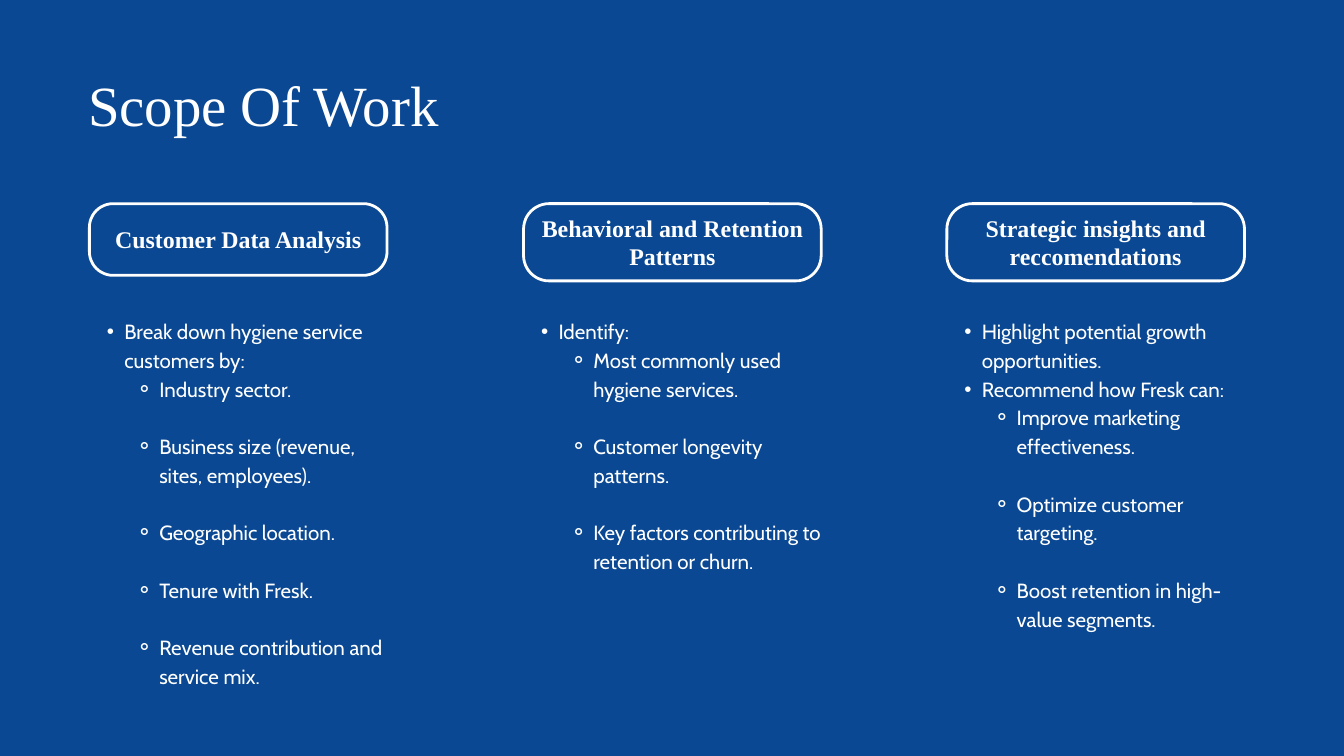
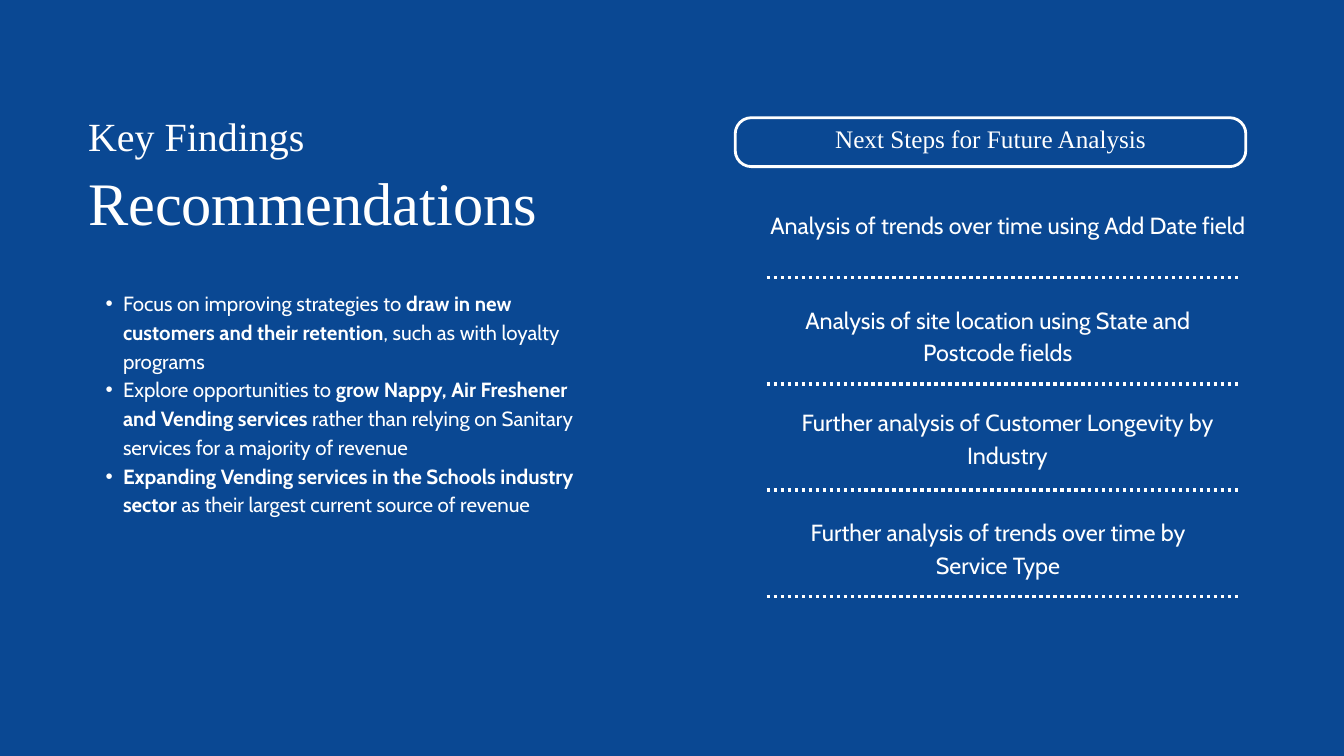
import pptx
import pptx.util
import pptx.dml.color
import pptx.enum.dml
import pptx.enum.shapes
import pptx.enum.text
from lxml import etree
from pptx.util import Cm, Pt

BLUE = "0A4893"
WHITE = "FFFFFF"
SERIF = "Times New Roman"
SANS = "Cabin"
EDGE = 3.33
ALIGN = pptx.enum.text.PP_ALIGN
ANCHOR = pptx.enum.text.MSO_ANCHOR
NS = "{http://schemas.openxmlformats.org/drawingml/2006/main}"
# level: (bullet, left margin, hanging indent)
MARKS = {1: ("•", 1.32, -0.66), 2: ("⚬", 2.64, -0.88)}


def paint(fmt, code):
    """Give a fill, line or font colour from a hex string."""
    fmt.rgb = pptx.dml.color.RGBColor.from_string(code)


def place(shape, box):
    shape.left, shape.top, shape.width, shape.height = map(Cm, box)


def clear(frame, anchor=ANCHOR.TOP):
    """Strip the insets and fix wrap, fit and anchor."""
    frame.margin_left = frame.margin_right = 0
    frame.margin_top = frame.margin_bottom = 0
    frame.word_wrap = True
    frame.auto_size = pptx.enum.text.MSO_AUTO_SIZE.NONE
    frame.vertical_anchor = anchor


def style(para, face, size, pitch, align=ALIGN.LEFT, bold=False):
    """Format a paragraph; text between asterisks turns bold."""
    parts = para.text.split("*")
    para.text = ""
    para.alignment = align
    para.line_spacing = Pt(pitch)
    for num, part in enumerate(parts):
        if not part:
            continue
        run = para.add_run()
        run.text = part
        run.font.name = face
        run.font.size = Pt(size)
        run.font.bold = bold or num % 2 == 1
        paint(run.font.color, WHITE)


def write(shape, text, face, size, pitch, align=ALIGN.LEFT, bold=False,
          anchor=ANCHOR.TOP):
    frame = shape.text_frame
    clear(frame, anchor)
    frame.text = text
    style(frame.paragraphs[0], face, size, pitch, align, bold)


def label(slide, box, text, face, size, pitch, align=ALIGN.LEFT):
    shape = slide.shapes.add_textbox(*map(Cm, box))
    write(shape, text, face, size, pitch, align)


def title(slide, box, text, size, pitch):
    place(slide.shapes.title, box)
    write(slide.shapes.title, text, SERIF, size, pitch)


def pill(slide, box, text, size, pitch, bold=False, lift=0):
    """Draw an outlined rounded heading; lift raises its text."""
    kind = pptx.enum.shapes.MSO_SHAPE.ROUNDED_RECTANGLE
    shape = slide.shapes.add_shape(kind, *map(Cm, box))
    shape.adjustments[0] = 0.33
    shape.shadow.inherit = False
    shape.fill.background()
    paint(shape.line.color, WHITE)
    shape.line.width = Pt(3)
    write(shape, text, SERIF, size, pitch, ALIGN.CENTER, bold, ANCHOR.MIDDLE)
    shape.text_frame.margin_bottom = Cm(lift)


def bullet(para, level):
    mark, left, hang = MARKS[level]
    para.level = level
    props = para._p.get_or_add_pPr()
    props.set("marL", str(Cm(left)))
    props.set("indent", str(Cm(hang)))
    etree.SubElement(props, NS + "buChar").set("char", mark)


def listing(holder, box, items):
    """Fill a body placeholder; a line's gap parts level-two neighbours."""
    place(holder, box)
    frame = holder.text_frame
    clear(frame)
    frame.text = "\n".join(text for _, text in items)
    last = 1
    for para, (level, _) in zip(frame.paragraphs, items):
        bullet(para, level)
        para.space_before = Pt(30.8 if last == level == 2 else 0)
        style(para, SANS, 22, 30.8)
        last = level


def column(slide, holder, box, head, tall, items):
    """Place a heading pill with its list 4.2 cm below the pill's top."""
    left, top, width, height = box
    pill(slide, (left, top, 11.25, tall), head, 25.6, 30.5, bold=True)
    listing(holder, (left, top + 4.21, width, height - 4.21), items)


def dots(slide, left, top, width):
    kind = pptx.enum.shapes.MSO_CONNECTOR.STRAIGHT
    line = slide.shapes.add_connector(
        kind, Cm(left), Cm(top), Cm(left + width), Cm(top))
    paint(line.line.color, WHITE)
    line.line.width = Pt(3.75)
    line.line.dash_style = pptx.enum.dml.MSO_LINE.ROUND_DOT
    etree.SubElement(line._element.spPr, NS + "effectLst")


def steps(slide, box, rows):
    """Stack rows in equal bands, each closed by a dotted line."""
    left, top, width, height = box
    band = height / len(rows)
    for num, (text, shift, drop, wide) in enumerate(rows):
        head = top + num * band
        label(slide, (left + shift, head + drop, wide, 2.39), text,
              SANS, 25, 35, ALIGN.CENTER)
        dots(slide, left, head + band, width)


def scope(deck):
    slide = deck.slides.add_slide(deck.slide_layouts.get_by_name("Comparison"))
    title(slide, (EDGE, 2.67, 17.58, 2.87), "Scope Of Work", 60.9, 72.5)
    cols = [
        ((3.38, 7.7, 11.76, 19.35), "Customer Data Analysis", 2.71, [
            (1, "Break down hygiene service customers by:"),
            (2, "Industry sector."),
            (2, "Business size (revenue, sites, employees)."),
            (2, "Geographic location."),
            (2, "Tenure with Fresk."),
            (2, "Revenue contribution and service mix.")]),
        ((19.79, 7.7, 11.28, 16.1), "Behavioral and Retention Patterns", 2.92, [
            (1, "Identify:"),
            (2, "Most commonly used hygiene services."),
            (2, "Customer longevity patterns."),
            (2, "Key factors contributing to retention or churn.")]),
        ((35.79, 7.7, 11.56, 17.19), "Strategic insights and reccomendations",
         2.92, [
            (1, "Highlight potential growth opportunities."),
            (1, "Recommend how Fresk can:"),
            (2, "Improve marketing effectiveness."),
            (2, "Optimize customer targeting."),
            (2, "Boost retention in high-value segments.")]),
    ]
    bodies = list(slide.placeholders)[1:]
    for holder, col in zip(bodies, cols):
        column(slide, holder, *col)
    for spare in bodies[len(cols):]:
        spare._element.getparent().remove(spare._element)


def advice(deck):
    slide = deck.slides.add_slide(
        deck.slide_layouts.get_by_name("Title and Content"))
    label(slide, (EDGE, 4.22, 16.38, 2.01), "Key Findings", SERIF, 42.8, 50.9)
    title(slide, (EDGE, 6.27, 20.52, 3.05), "Recommendations", 64.7, 76.9)
    listing(slide.placeholders[1], (EDGE, 10.85, 19.53, 10.8), [
        (1, "Focus on improving strategies to *draw in new customers and "
            "their retention*, such as with loyalty programs"),
        (1, "Explore opportunities to *grow Nappy, Air Freshener and Vending "
            "services *rather than relying on Sanitary services for a "
            "majority of revenue"),
        (1, "*Expanding Vending services in the Schools industry sector* as "
            "their largest current source of revenue")])
    pill(slide, (27.79, 4.45, 19.3, 1.85), "Next Steps for Future Analysis",
         27, 32.1, lift=0.3)
    steps(slide, (28.98, 6.47, 17.86, 16.08), [
        ("Analysis of trends over time using Add Date field", -0.2, 1.35, 18.62),
        ("Analysis of site location using State and Postcode fields",
         -0.2, 0.89, 17.86),
        ("Further analysis of Customer Longevity by Industry", 0.1, 0.76, 18),
        ("Further analysis of trends over time by Service Type",
         1.45, 0.88, 14.58)])


def main():
    deck = pptx.Presentation()
    deck.slide_width, deck.slide_height = Cm(50.8), Cm(28.58)
    fill = deck.slide_master.background.fill
    fill.solid()
    paint(fill.fore_color, BLUE)
    scope(deck)
    advice(deck)
    deck.save("out.pptx")


if __name__ == "__main__":
    main()
